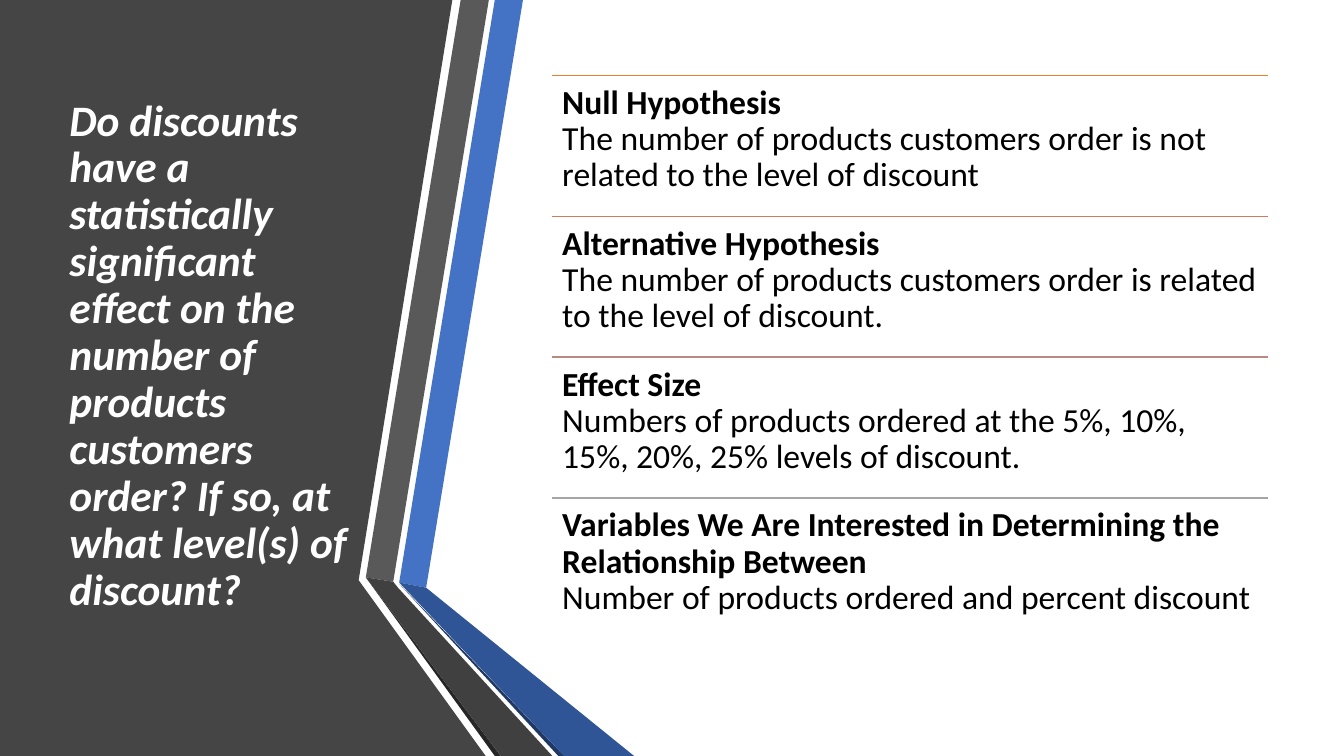
from dataclasses import dataclass
from pptx import Presentation
from pptx.util import Cm, Pt
from pptx.dml.color import RGBColor as RGB
from pptx.enum.shapes import MSO_CONNECTOR as Link
from pptx.enum.text import MSO_ANCHOR as Anchor, MSO_AUTO_SIZE as Fit, PP_ALIGN as Align
from pptx.oxml.ns import qn
from lxml.etree import SubElement

TITLE = ("Do discounts have a statistically significant effect on the number of "
         "products customers order? If so, at what level(s) of discount?")
ITEMS = [
    ("Null Hypothesis",
     "The number of products customers order is not related to the level of discount",
     "ED7D31"),
    ("Alternative Hypothesis",
     "The number of products customers order is related to the level of discount.",
     "D17B5C"),
    ("Effect Size",
     "Numbers of products ordered at the 5%, 10%, 15%, 20%, 25% levels of discount.",
     "B98A82"),
    ("Variables We Are Interested in Determining the Relationship Between",
     "Number of products ordered and percent discount",
     "A5A5A5"),
]


@dataclass(frozen=True)
class Theme:
    font: str = "Calibri"
    head: int = 31
    body: int = 24
    light: str = "FFFFFF"
    dark: str = "000000"
    panel: str = "454545"
    blue: str = "4472C4"
    grey: str = "595959"
    fold_blue: str = "2F5597"
    fold_grey: str = "404040"
    edge_blue: str = "203864"
    edge_grey: str = "262626"


theme = Theme()
WIDE, HIGH = 33.87, 19.05
LEFT, TOP, SPAN, STEP, INSET = 13.92, 1.9, 18.03, 3.55, 0.25
BANDS = [
    (theme.panel, [(0, 0), (11.4, 0), (9.04, 14.62), (12.24, HIGH), (0, HIGH)]),
    (theme.blue, [(10.06, 14.68), (10.74, 14.81), (13.18, 0), (12.47, 0)]),
    (theme.grey, [(9.22, 14.55), (9.91, 14.66), (12.32, 0), (11.61, 0)]),
    (theme.edge_grey, [(9.22, 14.55), (12.47, HIGH), (12.62, HIGH)]),
    (theme.edge_blue, [(10.06, 14.71), (14.07, HIGH), (14.22, HIGH)]),
    (theme.fold_blue, [(10.06, 14.68), (14.22, HIGH), (15.98, HIGH), (10.74, 14.81)]),
    (theme.fold_grey, [(9.22, 14.55), (12.62, HIGH), (13.92, HIGH), (10.03, 14.81),
                       (9.91, 14.66)]),
]


def style(para, size, color):
    para.font.name = theme.font
    para.font.size = Pt(size)
    para.font.color.rgb = RGB.from_string(color)
    para.line_spacing = 0.9
    para.alignment = Align.LEFT


def pad(frame):
    frame.word_wrap = True
    frame.auto_size = Fit.NONE
    frame.margin_left = frame.margin_right = Cm(INSET)
    frame.margin_top = frame.margin_bottom = Cm(INSET)


def add_band(shapes, color, points):
    spots = [(Cm(x), Cm(y)) for x, y in points]
    pen = shapes.build_freeform(*spots[0])
    pen.add_line_segments(spots[1:], close=True)
    band = pen.convert_to_shape()
    band.shadow.inherit = False
    band.fill.solid()
    band.fill.fore_color.rgb = RGB.from_string(color)
    band.line.fill.background()


def add_item(shapes, top, label, text, color):
    rule = shapes.add_connector(Link.STRAIGHT, Cm(LEFT), Cm(top), Cm(LEFT + SPAN), Cm(top))
    rule.line.color.rgb = RGB.from_string(color)
    rule.line.width = Pt(1)
    SubElement(rule._element.spPr, qn("a:effectLst"))
    frame = shapes.add_textbox(Cm(LEFT), Cm(top), Cm(SPAN), Cm(STEP)).text_frame
    pad(frame)
    para = frame.paragraphs[0]
    style(para, theme.body, theme.dark)
    run = para.add_run()
    run.text = label
    run.font.bold = True
    para.add_line_break()
    para.add_run().text = text


deck = Presentation()
deck.slide_width, deck.slide_height = Cm(WIDE), Cm(HIGH)
slide = deck.slides.add_slide(deck.slide_layouts[5])
shapes = slide.shapes

for color, points in BANDS:
    add_band(shapes, color, points)

title = shapes.title
title.left, title.top, title.width, title.height = Cm(1.5), Cm(TOP), Cm(7.72), Cm(14.17)
shapes._spTree.append(title._element)
pad(title.text_frame)
title.text_frame.vertical_anchor = Anchor.MIDDLE
title.text_frame.text = TITLE
para = title.text_frame.paragraphs[0]
style(para, theme.head, theme.light)
para.font.bold = para.font.italic = True

for row, item in enumerate(ITEMS):
    add_item(shapes, TOP + row * STEP, *item)

deck.save("out.pptx")
